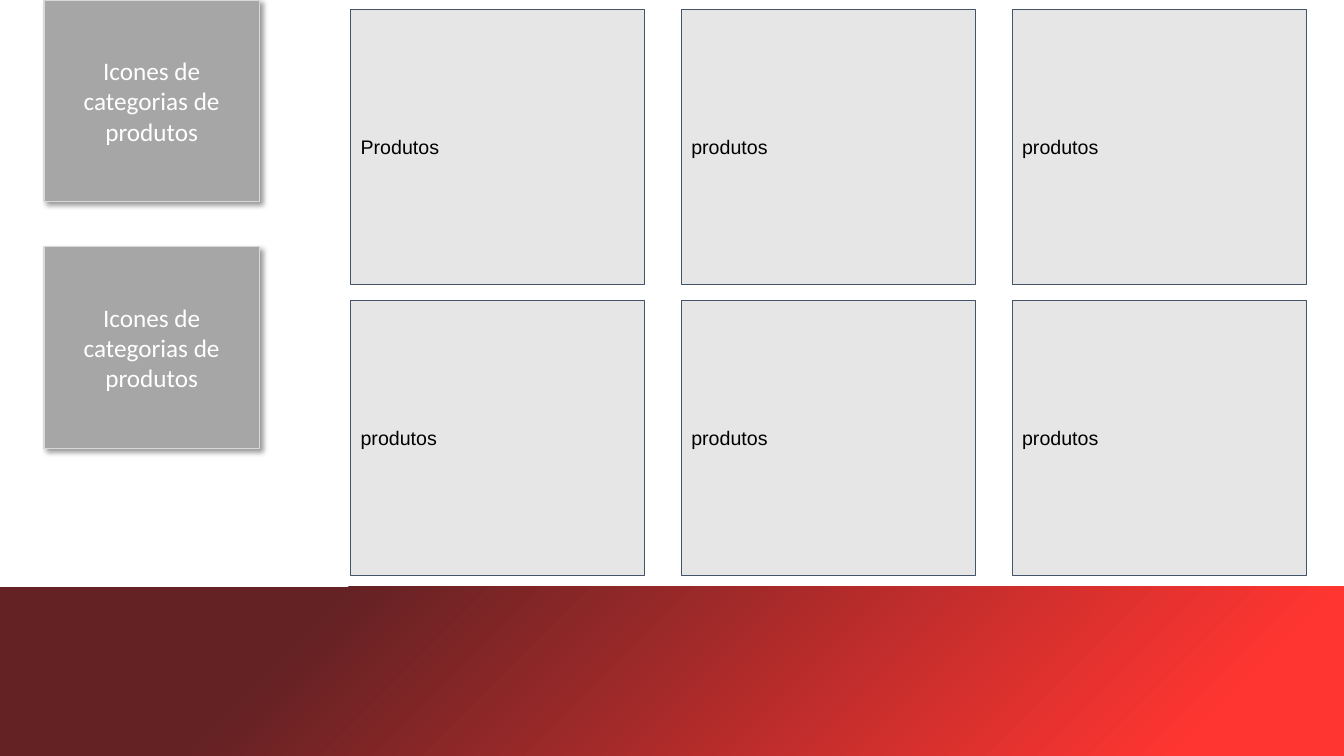
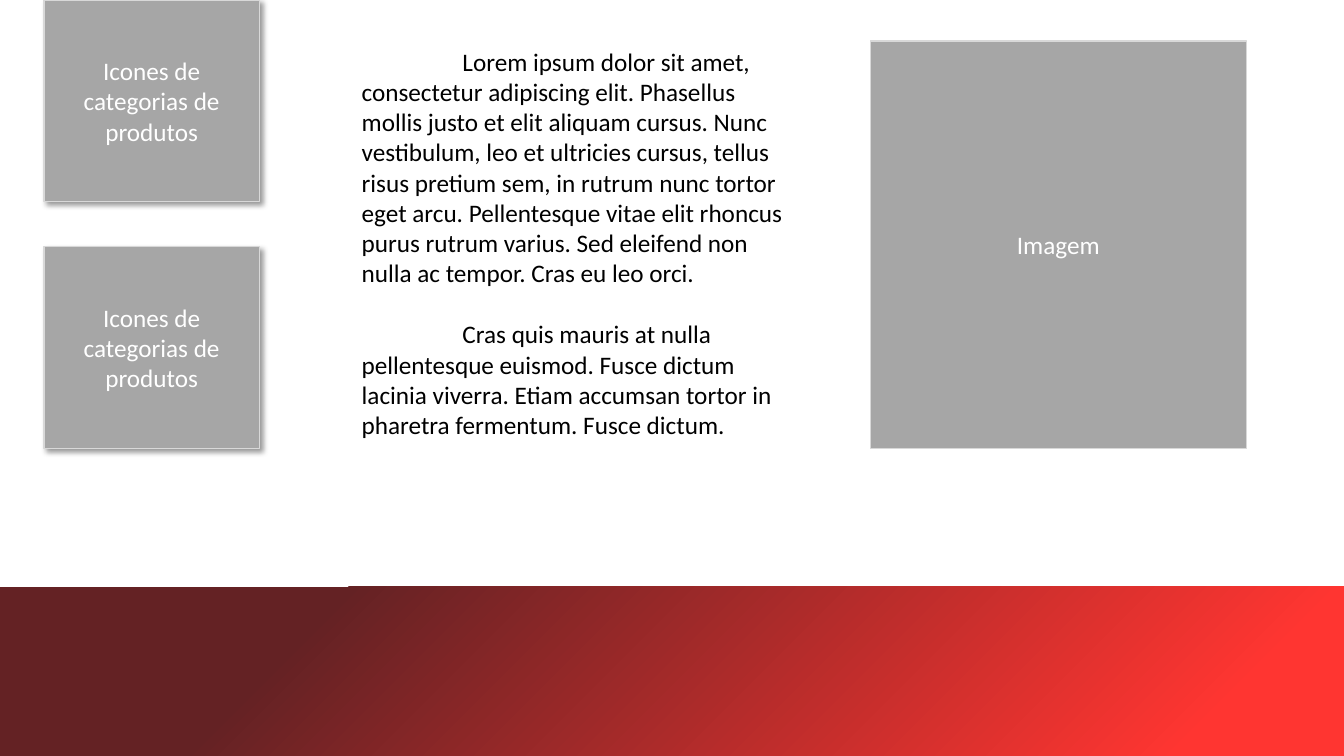
from copy import deepcopy
from itertools import product

from lxml.etree import SubElement
from pptx import Presentation
from pptx.dml.color import RGBColor
from pptx.enum.shapes import MSO_SHAPE as Preset
from pptx.enum.text import MSO_ANCHOR as Anchor, PP_ALIGN as Align
from pptx.oxml.ns import qn
from pptx.util import Emu, Pt

EMU_PER_PX = 9525
WIDTH, HEIGHT = 1280, 720
COLORS = {
    "dark_red": "642224",
    "red": "FF3531",
    "gray": "A6A6A6",
    "gray_edge": "D8D8D8",
    "card": "E7E6E6",
    "card_edge": "44546A",
    "white": "FFFFFF",
    "black": "000000",
}
BAND_STOPS = [(0, "dark_red"), (0.23, "dark_red"), (0.89, "red"), (1, "red")]
ICON_LABEL = "Icones de categorias de produtos"
BODY = [
    "Lorem ipsum dolor sit amet, consectetur adipiscing elit. Phasellus mollis "
    "justo et elit aliquam cursus. Nunc vestibulum, leo et ultricies cursus, "
    "tellus risus pretium sem, in rutrum nunc tortor eget arcu. Pellentesque "
    "vitae elit rhoncus purus rutrum varius. Sed eleifend non nulla ac tempor. "
    "Cras eu leo orci.",
    "Cras quis mauris at nulla pellentesque euismod. Fusce dictum lacinia "
    "viverra. Etiam accumsan tortor in pharetra fermentum. Fusce dictum.",
]


def px(length):
    return Emu(length * EMU_PER_PX)


def rgb(color):
    return RGBColor.from_string(COLORS[color])


class Deck:
    def __init__(self):
        self.prs = Presentation()
        self.prs.slide_width, self.prs.slide_height = px(WIDTH), px(HEIGHT)
        self.slide = None

    def new_slide(self):
        self.slide = self.prs.slides.add_slide(self.prs.slide_layouts[6])
        self.band()
        for top in (235, 0):
            self.shadow(self.placeholder_box(42, top, 205, 192, ICON_LABEL))

    def rectangle(self, left, top, width, height):
        rect = self.slide.shapes.add_shape(
            Preset.RECTANGLE, px(left), px(top), px(width), px(height))
        rect.shadow.inherit = False
        return rect

    def band(self):
        band = self.rectangle(0, 559, WIDTH, 161)
        band.line.fill.background()
        band.fill.gradient()
        band.fill.gradient_angle = 315
        stop_list = band.element.spPr.find(".//" + qn("a:gsLst"))
        for stop in list(stop_list)[:2]:
            stop_list.append(deepcopy(stop))
        for stop, (position, color) in zip(band.fill.gradient_stops, BAND_STOPS):
            stop.position = position
            stop.color.rgb = rgb(color)

    def shadow(self, box):
        effects = box.element.spPr.find(qn("a:effectLst"))
        outer = SubElement(effects, qn("a:outerShdw"), blurRad="50800",
                           dist="38100", dir="2700000", algn="tl", rotWithShape="0")
        black = SubElement(outer, qn("a:srgbClr"), val=COLORS["black"])
        SubElement(black, qn("a:alpha"), val="40000")

    def set_text(self, frame, paragraphs, size, font, color, align):
        frame.word_wrap = True
        frame.text = "\n".join(paragraphs)
        for paragraph in frame.paragraphs:
            paragraph.alignment = align
            for run in paragraph.runs:
                run.font.size = Pt(size)
                run.font.name = font
                run.font.color.rgb = rgb(color)

    def box(self, left, top, width, height, fill, edge, edge_width):
        box = self.rectangle(left, top, width, height)
        box.fill.solid()
        box.fill.fore_color.rgb = rgb(fill)
        box.line.color.rgb = rgb(edge)
        box.line.width = Pt(edge_width)
        box.text_frame.vertical_anchor = Anchor.MIDDLE
        return box

    def placeholder_box(self, left, top, width, height, label):
        box = self.box(left, top, width, height, "gray", "gray_edge", 1)
        self.set_text(box.text_frame, [label], 18, "Calibri", "white", Align.CENTER)
        return box

    def card(self, left, top, width, height, label):
        card = self.box(left, top, width, height, "card", "card_edge", 0.75)
        self.set_text(card.text_frame, [label], 14, "Arial", "black", Align.LEFT)

    def body(self, left, top, width, height, paragraphs):
        body = self.slide.shapes.add_textbox(px(left), px(top), px(width), px(height))
        self.set_text(body.text_frame, paragraphs, 18, "Calibri", "black", Align.LEFT)
        for paragraph in body.text_frame.paragraphs:
            paragraph.space_after = Pt(22)
            properties = paragraph._p.get_or_add_pPr()
            properties.set("marL", "0")
            properties.set("indent", str(px(96)))


def products_slide(deck):
    deck.new_slide()
    for row, column in product(range(2), range(3)):
        label = "Produtos" if row == column == 0 else "produtos"
        deck.card(334 + 315 * column, 9 + 277 * row, 280, 262, label)


def detail_slide(deck):
    deck.new_slide()
    deck.body(335, 39, 421, 388, BODY)
    deck.placeholder_box(829, 39, 358, 388, "Imagem")


def main():
    deck = Deck()
    products_slide(deck)
    detail_slide(deck)
    deck.prs.save("out.pptx")


if __name__ == "__main__":
    main()
